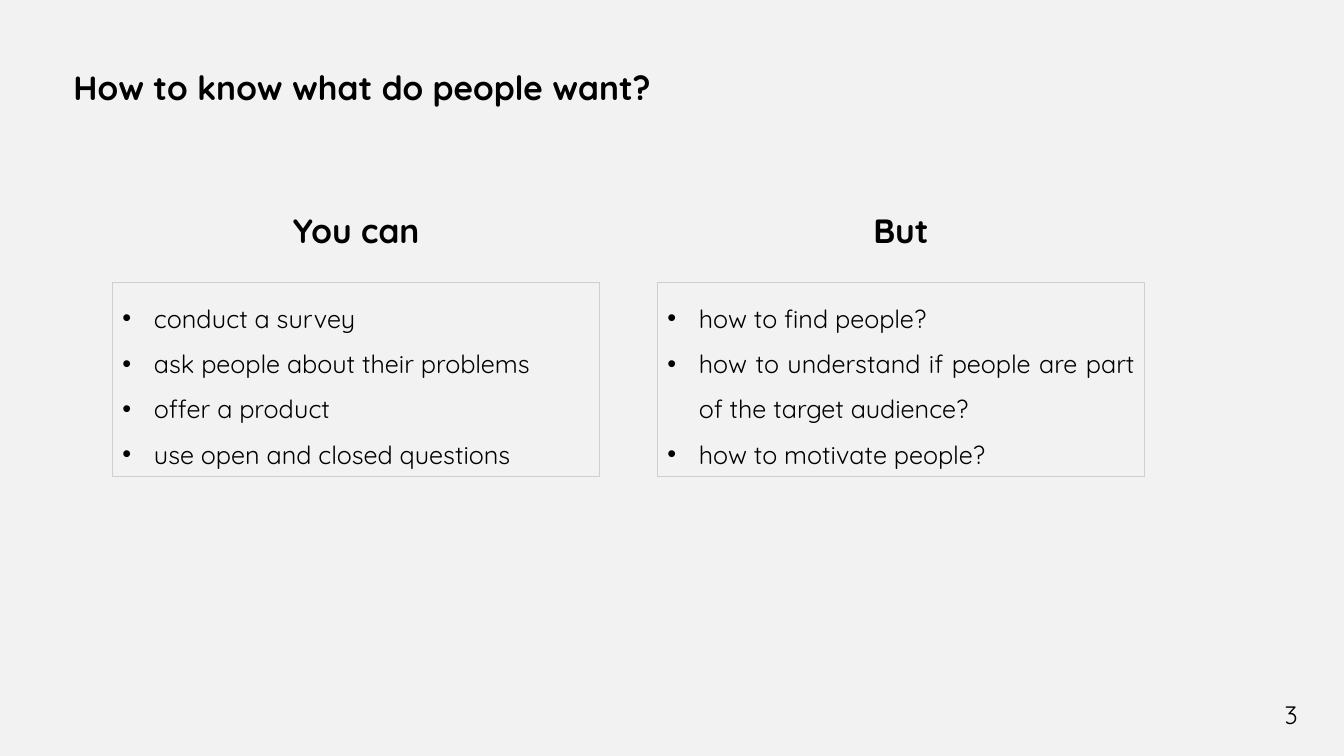
from dataclasses import dataclass

from lxml.etree import SubElement
from pptx import Presentation
from pptx.dml.color import RGBColor
from pptx.enum.shapes import MSO_SHAPE as Preset
from pptx.enum.text import MSO_ANCHOR as Anchor
from pptx.enum.text import MSO_AUTO_SIZE as AutoSize
from pptx.enum.text import PP_ALIGN as Align
from pptx.oxml.ns import qn
from pptx.slide import Slide
from pptx.text.text import TextFrame
from pptx.util import Pt


@dataclass(frozen=True)
class Theme:
    font: str = "Quicksand"
    bullet_font: str = "Arial"
    background: RGBColor = RGBColor(0xF2, 0xF2, 0xF2)
    text: RGBColor = RGBColor(0, 0, 0)
    border: RGBColor = RGBColor(0xD0, 0xCE, 0xCE)
    heading_size: float = 24
    body_size: float = 18
    border_width: float = 0.75
    body_spacing: float = 1.5
    bullet_indent: float = 22.5


@dataclass(frozen=True)
class Area:
    left: float
    top: float
    width: float
    height: float

    def lengths(self) -> tuple[Pt, Pt, Pt, Pt]:
        return Pt(self.left), Pt(self.top), Pt(self.width), Pt(self.height)


@dataclass(frozen=True)
class Label:
    text: str
    area: Area
    align: Align = Align.LEFT
    heading: bool = True


@dataclass(frozen=True)
class Column:
    heading: str
    items: tuple[str, ...]


THEME = Theme()
SLIDE_WIDTH, SLIDE_HEIGHT = 960, 540
LABEL_HEIGHT = 36.35
HEADING_TOP, HEADING_WIDTH = 146.2, 191.5
BOX_LEFT, BOX_TOP = 80.4, 202
BOX_WIDTH, BOX_HEIGHT = 348, 138.4
COLUMN_STEP = 389.2

TITLE = Label("How to know what do people want?", Area(45.4, 44.6, 807, LABEL_HEIGHT))
PAGE_NUMBER = Label("3", Area(885, 485.3, 49, LABEL_HEIGHT), Align.RIGHT, heading=False)
COLUMNS = (
    Column("You can", (
        "conduct a survey",
        "ask people about their problems",
        "offer a product",
        "use open and closed questions",
    )),
    Column("But", (
        "how to find people?",
        "how to understand if people are part of the target audience?",
        "how to motivate people?",
    )),
)


def write_lines(frame: TextFrame, lines: tuple[str, ...], align: Align,
                heading: bool = False, bulleted: bool = False) -> None:
    frame.word_wrap = True
    frame.auto_size = AutoSize.SHAPE_TO_FIT_TEXT
    frame.vertical_anchor = Anchor.TOP
    for index, line in enumerate(lines):
        paragraph = frame.add_paragraph() if index else frame.paragraphs[0]
        paragraph.alignment = align
        if not heading:
            paragraph.line_spacing = THEME.body_spacing
        if bulleted:
            properties = paragraph._p.get_or_add_pPr()
            properties.set("marL", str(Pt(THEME.bullet_indent)))
            properties.set("indent", str(-Pt(THEME.bullet_indent)))
            SubElement(properties, qn("a:buFont"), typeface=THEME.bullet_font)
            SubElement(properties, qn("a:buChar"), char="•")
        run = paragraph.add_run()
        run.text = line
        run.font.name = THEME.font
        run.font.size = Pt(THEME.heading_size if heading else THEME.body_size)
        run.font.bold = heading
        run.font.color.rgb = THEME.text


def add_label(slide: Slide, label: Label) -> None:
    shape = slide.shapes.add_textbox(*label.area.lengths())
    write_lines(shape.text_frame, (label.text,), label.align, heading=label.heading)


def add_column(slide: Slide, column: Column, left: float) -> None:
    heading_left = left + (BOX_WIDTH - HEADING_WIDTH) / 2
    heading_area = Area(heading_left, HEADING_TOP, HEADING_WIDTH, LABEL_HEIGHT)
    add_label(slide, Label(column.heading, heading_area, Align.CENTER))

    box_area = Area(left, BOX_TOP, BOX_WIDTH, BOX_HEIGHT)
    shape = slide.shapes.add_shape(Preset.RECTANGLE, *box_area.lengths())
    shape.shadow.inherit = False
    shape.fill.background()
    shape.line.color.rgb = THEME.border
    shape.line.width = Pt(THEME.border_width)
    write_lines(shape.text_frame, column.items, Align.JUSTIFY, bulleted=True)


def main() -> None:
    presentation = Presentation()
    presentation.slide_width = Pt(SLIDE_WIDTH)
    presentation.slide_height = Pt(SLIDE_HEIGHT)
    slide = presentation.slides.add_slide(presentation.slide_layouts[6])
    slide.background.fill.solid()
    slide.background.fill.fore_color.rgb = THEME.background

    add_label(slide, TITLE)
    for index, column in enumerate(COLUMNS):
        add_column(slide, column, BOX_LEFT + index * COLUMN_STEP)
    add_label(slide, PAGE_NUMBER)
    presentation.save("out.pptx")


if __name__ == "__main__":
    main()
